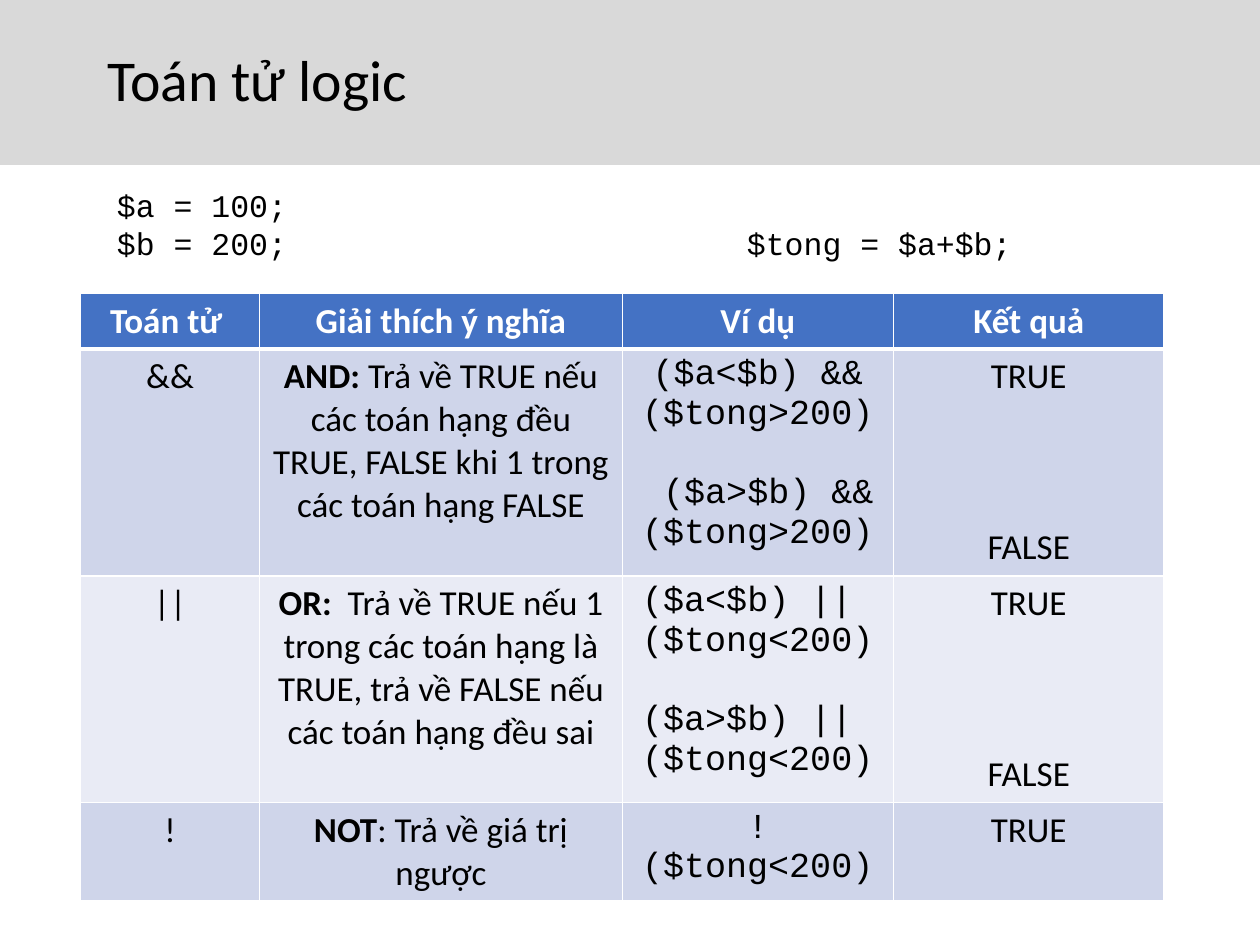
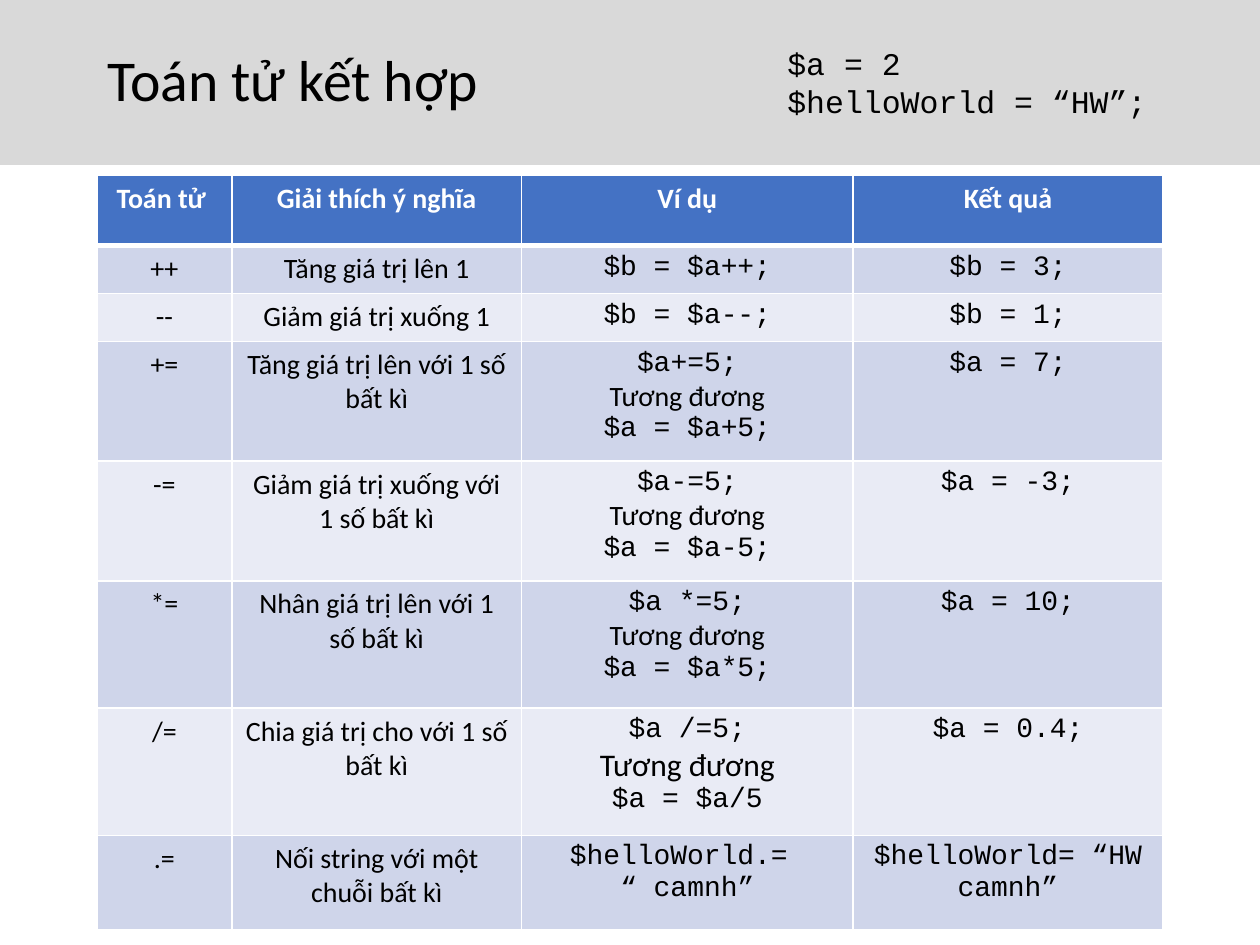
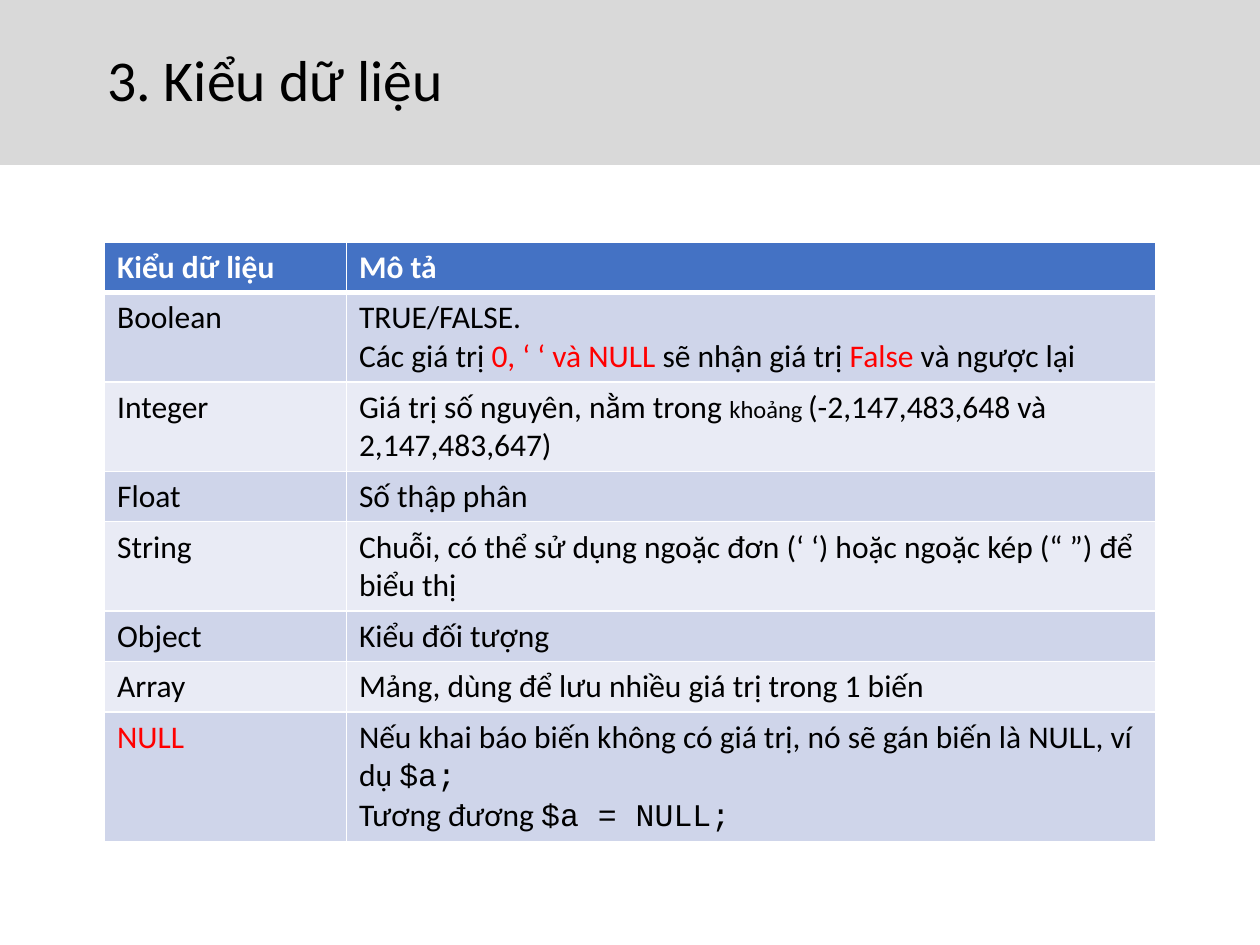
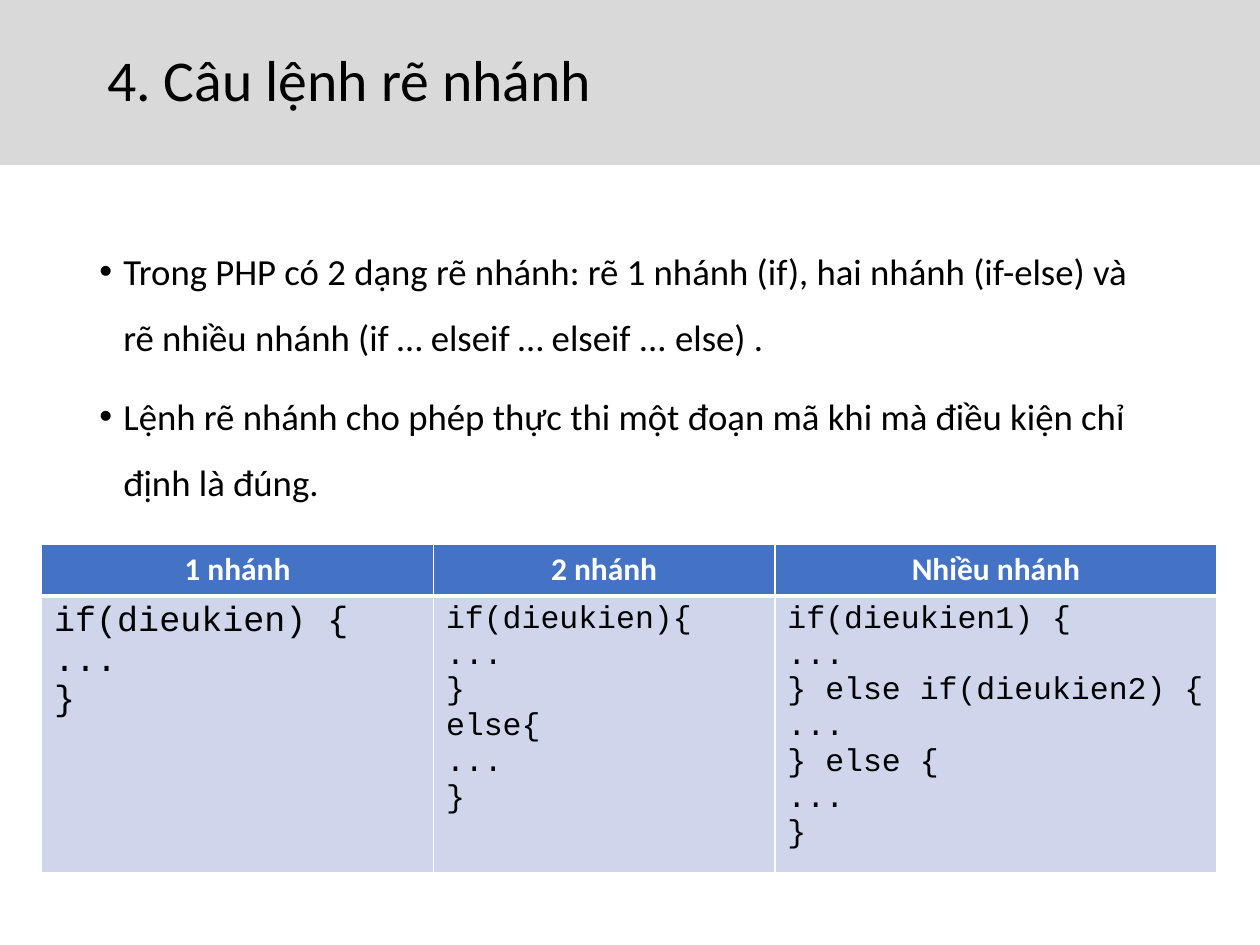
from dataclasses import dataclass
from functools import partial
from typing import NamedTuple, Optional

from lxml import etree
from pptx import Presentation
from pptx.dml.color import RGBColor
from pptx.enum import shapes, text
from pptx.oxml import ns
from pptx.util import Inches, Pt

SANS, MONO = "Calibri", "Courier New"
BLACK = RGBColor(0x00, 0x00, 0x00)
WHITE = RGBColor(0xFF, 0xFF, 0xFF)
RED = RGBColor(0xFF, 0x00, 0x00)
TITLE_BAND = RGBColor(0xD9, 0xD9, 0xD9)
HEADER = RGBColor(0x44, 0x72, 0xC4)
BANDS = (RGBColor(0xCF, 0xD5, 0xEA), RGBColor(0xE9, 0xEB, 0xF5))
LEFT, CENTER = text.PP_ALIGN.LEFT, text.PP_ALIGN.CENTER


class Run(NamedTuple):
    """A stretch of text; None takes the format of its surroundings."""
    text: str
    font: Optional[str] = None
    bold: Optional[bool] = None
    color: Optional[RGBColor] = None
    size: Optional[float] = None


class Line(NamedTuple):
    """One paragraph with the space above it in points."""
    runs: tuple
    gap: float = 0


@dataclass
class Grid:
    """A table: place, column widths and row heights in inches, and cells."""
    left: float
    top: float
    columns: tuple
    heights: tuple
    rows: list
    size: float
    header_align: text.PP_ALIGN = CENTER
    body_align: text.PP_ALIGN = CENTER


mono = partial(Run, font=MONO)
strong = partial(Run, bold=True)
red = partial(Run, color=RED)


def line(*parts, gap: float = 0) -> Line:
    """Make a paragraph of strings and runs."""
    return Line(tuple(Run(p) if isinstance(p, str) else p for p in parts), gap)


def code(listing: str, size: Optional[float] = None) -> list:
    """Make one code paragraph for each line of the listing."""
    return [line(mono(row, size=size)) for row in listing.split("\n")]


def child(parent, tag: str, **attributes):
    """Append a drawing element to its parent."""
    return etree.SubElement(parent, ns.qn(tag), attributes)


def write(frame, content, *, size: float, font: str = SANS, color: RGBColor = BLACK,
          bold: bool = False, align: text.PP_ALIGN = LEFT, spacing: Optional[float] = None,
          bullet_indent: float = 0, tab_stop: float = 0) -> None:
    """Fill a text frame with a string or a list of lines in the given format."""
    frame.word_wrap = True
    lines = [line(content)] if isinstance(content, str) else content
    for index, item in enumerate(lines):
        paragraph = frame.paragraphs[0] if index == 0 else frame.add_paragraph()
        paragraph.alignment = align
        if spacing:
            paragraph.line_spacing = spacing
        if item.gap:
            paragraph.space_before = Pt(item.gap)
        properties = paragraph._p.get_or_add_pPr()
        if bullet_indent:
            indent = Inches(bullet_indent)
            properties.set("marL", str(indent))
            properties.set("indent", str(-indent))
            child(properties, "a:buFont", typeface="Arial")
            child(properties, "a:buChar", char="•")
        if tab_stop:
            stops = child(properties, "a:tabLst")
            child(stops, "a:tab", pos=str(Inches(tab_stop)), algn="l")
        for part in item.runs:
            run = paragraph.add_run()
            run.text = part.text
            run.font.name = part.font or font
            run.font.size = Pt(part.size or size)
            run.font.bold = bold if part.bold is None else part.bold
            run.font.color.rgb = color if part.color is None else part.color


def add_text(slide, left: float, top: float, width: float, height: float,
             content, **style) -> None:
    """Place a text box."""
    box = slide.shapes.add_textbox(Inches(left), Inches(top), Inches(width), Inches(height))
    write(box.text_frame, content, **style)


def add_borders(cell, row: int) -> None:
    """Draw white cell edges, with a thick rule under the header row."""
    properties = cell._tc.get_or_add_tcPr()
    widths = {"L": 1, "R": 1, "T": 3 if row == 1 else 1, "B": 3 if row == 0 else 1}
    for position, (side, width) in enumerate(widths.items()):
        edge = child(properties, f"a:ln{side}", w=str(Pt(width)))
        child(child(edge, "a:solidFill"), "a:srgbClr", val=str(WHITE))
        properties.insert(position, edge)


def add_grid(slide, grid: Grid) -> None:
    """Draw a table with a blue header and alternating bands."""
    table = slide.shapes.add_table(
        len(grid.rows), len(grid.columns), Inches(grid.left), Inches(grid.top),
        Inches(sum(grid.columns)), Inches(sum(grid.heights))).table
    table.horz_banding = False
    for column, width in zip(table.columns, grid.columns):
        column.width = Inches(width)
    for r, (height, contents) in enumerate(zip(grid.heights, grid.rows)):
        table.rows[r].height = Inches(height)
        is_header = r == 0
        for c, content in enumerate(contents):
            cell = table.cell(r, c)
            cell.fill.solid()
            cell.fill.fore_color.rgb = HEADER if is_header else BANDS[(r - 1) % 2]
            add_borders(cell, r)
            write(cell.text_frame, content, size=grid.size, bold=is_header,
                  color=WHITE if is_header else BLACK,
                  align=grid.header_align if is_header else grid.body_align)


def add_slide(deck, title: str):
    """Add a blank slide with the grey title band."""
    slide = deck.slides.add_slide(deck.slide_layouts[6])
    band = slide.shapes.add_shape(shapes.MSO_SHAPE.RECTANGLE, 0, 0,
                                  deck.slide_width, Inches(1.31))
    band.shadow.inherit = False
    band.fill.solid()
    band.fill.fore_color.rgb = TITLE_BAND
    band.line.fill.background()
    band.text_frame.margin_left = Inches(0.85)
    band.text_frame.vertical_anchor = text.MSO_ANCHOR.MIDDLE
    write(band.text_frame, title, size=33, spacing=0.9)
    return slide


OPERATOR_HEADER = ("Toán tử ", "Giải thích ý nghĩa", "Ví dụ", "Kết quả")


def logic_slide(deck) -> None:
    """Logical operators."""
    def examples(first: str, second: str) -> list:
        """Two code examples, one blank line apart."""
        return [line(mono(first)), line(mono(second), gap=22.7)]

    outcomes = [line("TRUE"), line("FALSE", gap=73.2)]
    slide = add_slide(deck, "Toán tử logic")
    add_grid(slide, Grid(0.64, 2.33, (1.42, 2.88, 2.15, 2.15), (0.43, 1.8, 1.8, 0.78), [
        OPERATOR_HEADER,
        ("&&",
         [line(strong("AND: "), "Trả về TRUE nếu các toán hạng đều TRUE, "
               "FALSE khi 1 trong các toán hạng FALSE")],
         examples("($a<$b) && ($tong>200)", " ($a>$b) && ($tong>200)"), outcomes),
        ("||",
         [line(strong("OR: "), " Trả về TRUE nếu 1 trong các toán hạng là TRUE, "
               "trả về FALSE nếu các toán hạng đều sai")],
         examples("($a<$b) ||  ($tong<200)", "($a>$b) ||  ($tong<200)"), outcomes),
        ("!", [line(strong("NOT"), ": Trả về giá trị ngược")],
         code("!($tong<200)"), "TRUE"),
    ], size=20))
    add_text(slide, 0.83, 1.43, 8.33, 0.71,
             code("$a = 100;\n$b = 200;\t$tong = $a+$b;"), size=18, tab_stop=5)


def compound_slide(deck) -> None:
    """Compound operators."""
    def same_as(short: str, full: str, size: Optional[float] = None) -> list:
        """A short form and the full form it stands for."""
        return [*code(short), line(Run("Tương đương", size=size)), *code(full)]

    slide = add_slide(deck, "Toán tử kết hợp")
    add_grid(slide, Grid(
        0.77, 1.39, (1.07, 2.3, 2.63, 2.46),
        (0.56, 0.38, 0.38, 0.95, 0.95, 1.01, 1.01, 0.75), [
            OPERATOR_HEADER,
            ("++", "Tăng giá trị lên 1", code("$b = $a++;"), code("$b = 3;")),
            ("--", "Giảm giá trị xuống 1", code("$b = $a--;"), code("$b = 1;")),
            ("+=", "Tăng giá trị lên với 1 số bất kì",
             same_as("$a+=5;", "$a = $a+5;"), code("$a = 7;")),
            ("-=", "Giảm giá trị xuống với 1 số bất kì",
             same_as("$a-=5;", "$a = $a-5;"), code("$a = -3;")),
            ("*=", "Nhân giá trị lên với 1 số bất kì",
             same_as("$a *=5;", "$a = $a*5;"), code("$a = 10;")),
            ("/=", "Chia giá trị cho với 1 số bất kì",
             same_as("$a /=5;", "$a = $a/5", size=18), code("$a = 0.4;")),
            (".=", "Nối string với một chuỗi bất kì",
             code("$helloWorld.= \n“ camnh”"), code("$helloWorld= “HW camnh”")),
        ], size=16))
    add_text(slide, 6.15, 0.3, 3.08, 0.71,
             code("$a = 2\n$helloWorld = “HW”;"), size=18)


def types_slide(deck) -> None:
    """Data types."""
    slide = add_slide(deck, "3. Kiểu dữ liệu")
    one, two, three = 0.4, 0.71, 1.03
    add_grid(slide, Grid(
        0.83, 1.92, (1.92, 6.42), (one, two, two, one, two, one, one, three), [
            ("Kiểu dữ liệu", "Mô tả"),
            ("Boolean", [
                line("TRUE/FALSE."),
                line("Các giá trị ", red("0, ‘ ‘ và NULL"), " sẽ nhận giá trị ",
                     red("False"), " và ngược lại")]),
            ("Integer", [line("Giá trị số nguyên, nằm trong ", Run("khoảng ", size=14),
                              "(-2,147,483,648 và 2,147,483,647)")]),
            ("Float", "Số thập phân"),
            ("String", "Chuỗi, có thể sử dụng ngoặc đơn (‘ ‘) hoặc ngoặc kép (“ ”) để biểu thị"),
            ("Object", "Kiểu đối tượng"),
            ("Array", "Mảng, dùng để lưu nhiều giá trị trong 1 biến"),
            ([line(red("NULL"))], [
                line("Nếu khai báo biến không có giá trị, nó sẽ gán biến là NULL, ví dụ ",
                     mono("$a; ")),
                line("Tương đương ", mono("$a = NULL;"))]),
        ], size=18, header_align=LEFT, body_align=LEFT))


def branch_slide(deck) -> None:
    """Branching statements."""
    slide = add_slide(deck, "4. Câu lệnh rẽ nhánh")
    add_text(slide, 0.69, 1.75, 8.62, 4.76, [
        line("Trong PHP có 2 dạng rẽ nhánh: rẽ 1 nhánh (if), hai nhánh (if-else) "
             "và rẽ nhiều nhánh (if … elseif … elseif ... else) .", gap=7.5),
        line("Lệnh rẽ nhánh cho phép thực thi một đoạn mã khi mà điều kiện "
             "chỉ định là đúng.", gap=7.5),
    ], size=21, spacing=1.5, bullet_indent=0.19)
    add_grid(slide, Grid(0.33, 4.32, (3.11, 2.71, 3.51), (0.41, 2.07), [
        ("1 nhánh", "2 nhánh", "Nhiều nhánh"),
        (code("if(dieukien) {\n...\n}", size=20),
         code("if(dieukien){\n...\n}\nelse{\n...\n}"),
         code("if(dieukien1) {\n...\n} else if(dieukien2) {\n...\n} else {\n...\n}")),
    ], size=18, body_align=LEFT))


def main() -> None:
    """Build and save the deck."""
    deck = Presentation()
    deck.slide_width, deck.slide_height = Inches(10), Inches(7.5)
    for build in (logic_slide, compound_slide, types_slide, branch_slide):
        build(deck)
    deck.save("out.pptx")


main()
